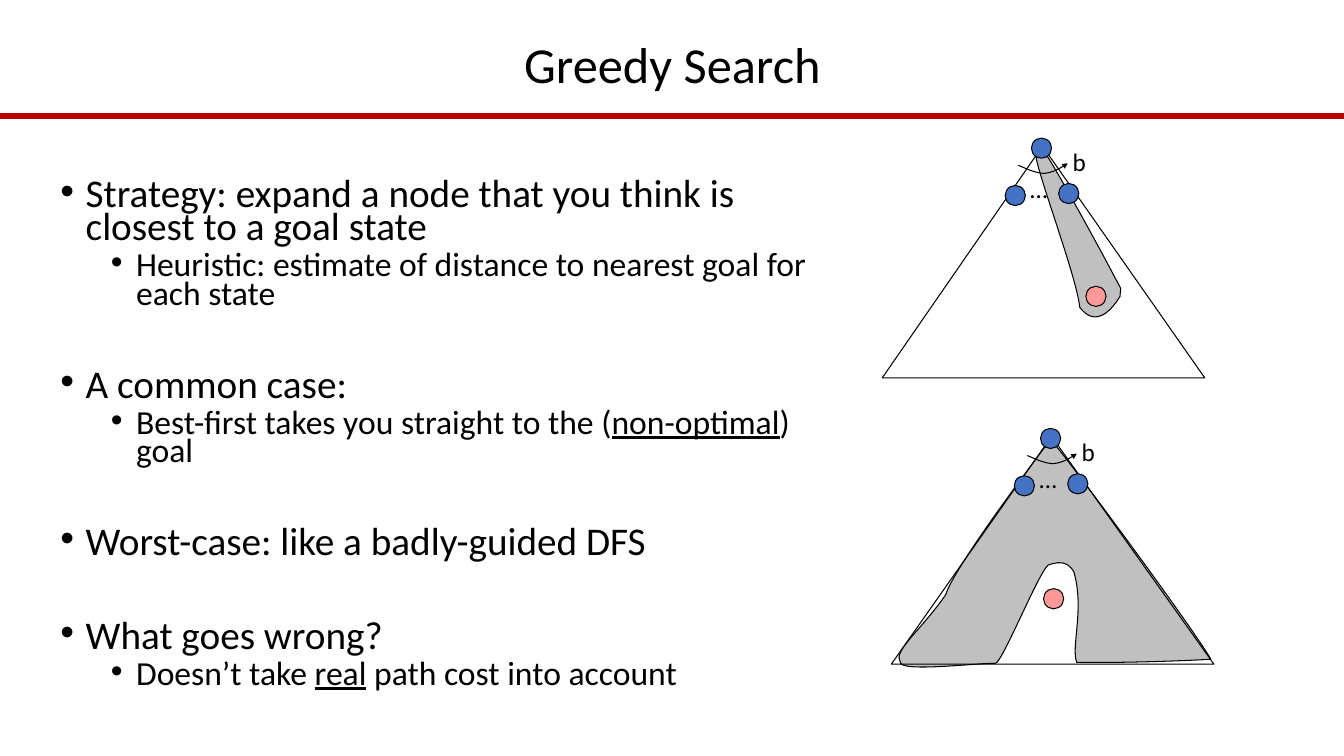
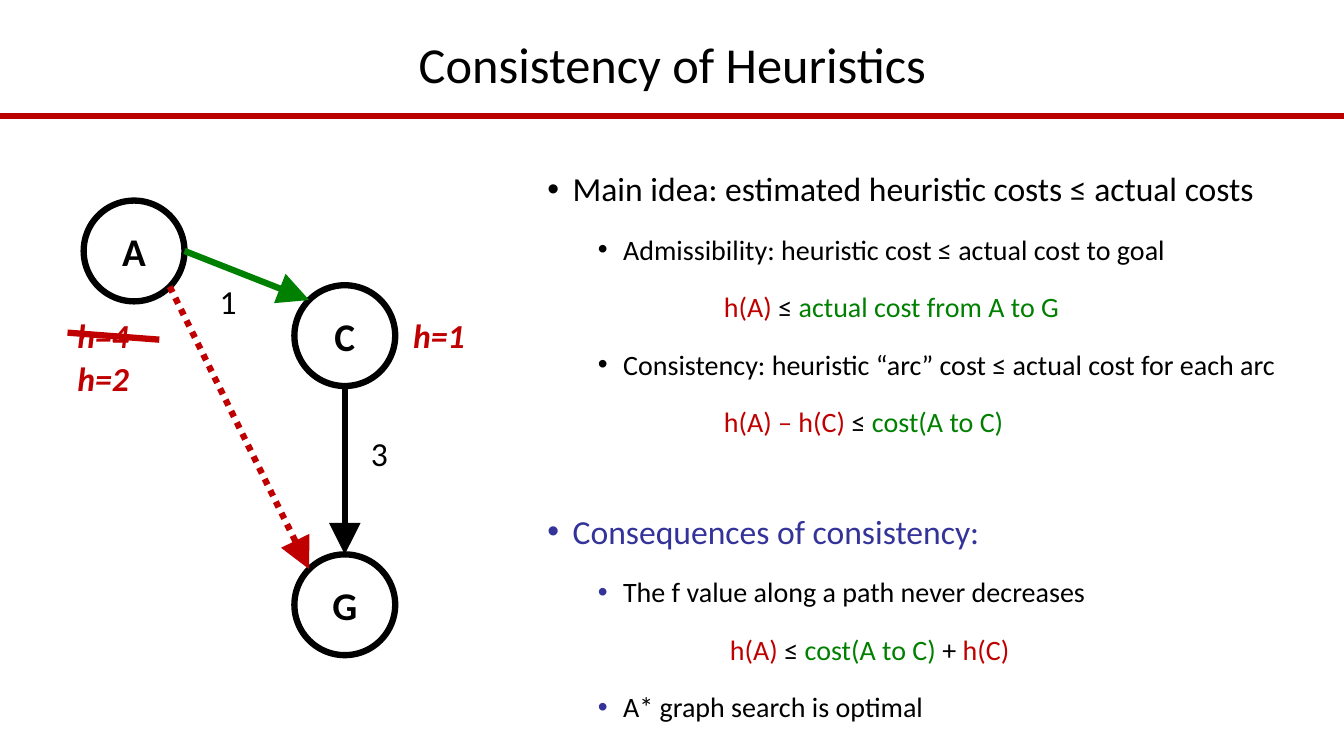
from dataclasses import dataclass
from math import cos, radians, sin
from typing import Optional

from lxml.etree import SubElement
from pptx import Presentation
from pptx.dml.color import RGBColor
from pptx.enum.dml import MSO_LINE
from pptx.enum.shapes import MSO_CONNECTOR as Connector, MSO_SHAPE as Preset
from pptx.enum.text import MSO_ANCHOR as Anchor, MSO_AUTO_SIZE as AutoSize, PP_ALIGN as Align
from pptx.oxml.ns import qn
from pptx.util import Inches, Pt

# Shared look
FONT = "Calibri"
BLACK = RGBColor(0x00, 0x00, 0x00)
WHITE = RGBColor(0xFF, 0xFF, 0xFF)
RULE_RED = RGBColor(0xBB, 0x00, 0x00)
RED = RGBColor(0xC0, 0x00, 0x00)
GREEN = RGBColor(0x00, 0x80, 0x00)
INDIGO = RGBColor(0x33, 0x33, 0x99)
NODE_BLUE = RGBColor(0x44, 0x72, 0xC4)
GOAL_PINK = RGBColor(0xFF, 0x99, 0x99)
REGION_GRAY = RGBColor(0xC0, 0xC0, 0xC0)
SLIDE_WIDTH, SLIDE_HEIGHT = 13.33, 7.5
THIN, THICK = 0.75, 4.5

Point = tuple[float, float]
Box = tuple[float, float, float, float]


@dataclass
class Run:
    text: str
    color: RGBColor = BLACK
    underline: bool = False


@dataclass
class Item:
    runs: list[Run]
    size: int
    indent: float = 0.25
    before: float = 10
    bullet: Optional[RGBColor] = BLACK


@dataclass
class SearchTree:
    left: float
    top: float
    height: float
    goal: Point
    region: list[Point]


@dataclass
class GraphNode:
    name: str
    left: float
    top: float
    diameter: float = 1.0

    def rim(self, degrees: float) -> Point:
        """Point on the circle, clockwise from the right."""
        radius, angle = self.diameter / 2, radians(degrees)
        return (self.left + radius * (1 + cos(angle)), self.top + radius * (1 + sin(angle)))


@dataclass
class Edge:
    start: Point
    end: Point
    color: RGBColor
    dash: Optional[MSO_LINE] = None
    arrow: Optional[str] = "lg"


@dataclass
class Label:
    text: str
    box: Box
    format: dict


def head(text: str, size: int, **values) -> Item:
    return Item([Run(text, values.pop("color", BLACK))], size, **values)


def sub(*runs: Run, size: int, **values) -> Item:
    return Item(list(runs), size, **{"indent": 0.75, "before": 5, **values})


def add_run(paragraph, text: str, color: RGBColor = BLACK, **values) -> None:
    run = paragraph.add_run()
    run.text = text
    run.font.color.rgb = color
    for name, value in {"name": FONT, **values}.items():
        setattr(run.font, name, value)


def place(shape, box: Box) -> None:
    for name, value in zip(("left", "top", "width", "height"), box):
        setattr(shape, name, Inches(value))


def set_line(line, color: RGBColor, width: float, arrow: Optional[str] = None, dash=None) -> None:
    line.color.rgb = color
    line.width = Pt(width)
    if dash is not None:
        line.dash_style = dash
    if arrow is not None:
        SubElement(line._get_or_add_ln(), qn("a:tailEnd"), type="triangle", w=arrow, len=arrow)


def paint(shape, fill: Optional[RGBColor], width: float = THIN, arrow: Optional[str] = None) -> None:
    shape.shadow.inherit = False
    if fill is None:
        shape.fill.background()
    else:
        shape.fill.solid()
        shape.fill.fore_color.rgb = fill
    set_line(shape.line, BLACK, width, arrow)


def add_line(slide, edge: Edge, width: float = THICK) -> None:
    ends = [Inches(value) for value in (*edge.start, *edge.end)]
    connector = slide.shapes.add_connector(Connector.STRAIGHT, *ends)
    set_line(connector.line, edge.color, width, edge.arrow, edge.dash)
    SubElement(connector._element.spPr, qn("a:effectLst"))


def add_oval(slide, box: Box, fill: RGBColor, width: float = THIN):
    shape = slide.shapes.add_shape(Preset.OVAL, *map(Inches, box))
    paint(shape, fill, width)
    return shape


def add_label(slide, label: Label) -> None:
    frame = slide.shapes.add_textbox(*map(Inches, label.box)).text_frame
    frame.word_wrap = True
    add_run(frame.paragraphs[0], label.text, **label.format)


def add_outline(slide, points: list[Point], fill: Optional[RGBColor] = None,
                closed: bool = True, curved: bool = True, arrow: Optional[str] = None) -> None:
    """Draw a freeform; when curved, each three points after the start make a cubic curve."""
    start, *others = [(Inches(x), Inches(y)) for x, y in points]
    builder = slide.shapes.build_freeform(*start)
    builder.add_line_segments(others, close=closed)
    shape = builder.convert_to_shape()
    paint(shape, fill, arrow=arrow)
    if curved:
        segments = list(shape._element.iter(qn("a:lnTo")))
        for first, second, last in zip(*[iter(segments)] * 3):
            first.tag = qn("a:cubicBezTo")
            for segment in (second, last):
                first.append(segment[0])
                segment.getparent().remove(segment)


def add_item(paragraph, item: Item, spacing: float, first: bool) -> None:
    properties = paragraph._p.get_or_add_pPr()
    hanging = 0 if item.bullet is None else -0.25
    properties.set("marL", str(Inches(item.indent)))
    properties.set("indent", str(Inches(hanging)))
    if item.bullet is None:
        SubElement(properties, qn("a:buNone"))
    else:
        color = SubElement(properties, qn("a:buClr"))
        SubElement(color, qn("a:srgbClr"), val=str(item.bullet))
        SubElement(properties, qn("a:buFont"), typeface="Arial")
        SubElement(properties, qn("a:buChar"), char="•")
    paragraph.level = 0 if item.indent < 0.5 else 1
    paragraph.line_spacing = spacing
    paragraph.space_before = Pt(0 if first else item.before)
    paragraph.space_after = Pt(0)
    for run in item.runs:
        add_run(paragraph, run.text, run.color, size=Pt(item.size), underline=run.underline)


def add_slide(presentation, title: str, body_box: Box, items: list[Item], spacing: float):
    """Slide with a centred title, a red rule and a bulleted body."""
    slide = presentation.slides.add_slide(presentation.slide_layouts[1])
    heading, body = slide.placeholders
    for shape, box in ((heading, (0.92, 0.34, 11.5, 0.66)), (body, body_box)):
        place(shape, box)
        shape.text_frame.word_wrap = True
        shape.text_frame.auto_size = AutoSize.NONE
    heading.text_frame.vertical_anchor = Anchor.MIDDLE
    paragraph = heading.text_frame.paragraphs[0]
    paragraph.alignment = Align.CENTER
    paragraph.line_spacing = 0.9
    add_run(paragraph, title, size=Pt(36))
    add_line(slide, Edge((0, 1.15), (SLIDE_WIDTH, 1.15), RULE_RED, arrow=None), 4)
    for index, item in enumerate(items):
        paragraph = body.text_frame.add_paragraph() if index else body.text_frame.paragraphs[0]
        add_item(paragraph, item, spacing, first=index == 0)
    return slide


def add_search_tree(slide, tree: SearchTree) -> None:
    """Triangle of states with the explored region; parts are offset from its corner."""
    def at(x: float, y: float) -> Point:
        return tree.left + x, tree.top + y

    def add_dot(corner: Point, fill: RGBColor) -> None:
        add_oval(slide, (*corner, 0.2, 0.2), fill)

    add_outline(slide, tree.region, REGION_GRAY)
    add_outline(slide, [at(0, tree.height), at(3.2, tree.height), at(1.59, 0)], curved=False)
    for x, y in ((1.22, 0.39), (1.75, 0.37)):
        add_dot(at(x, y), NODE_BLUE)
    for text, x, y in (("…", 1.37, 0.22), ("b", 1.79, -0.05)):
        add_label(slide, Label(text, (*at(x, y), 0.4, 0.4), {"size": Pt(18)}))
    # Branching arrow
    branching = ((1.35, 0.19), (1.44, 0.23), (1.53, 0.27), (1.61, 0.27),
                 (1.69, 0.26), (1.77, 0.22), (1.84, 0.17))
    add_outline(slide, [at(*point) for point in branching], closed=False, arrow="sm")
    add_dot(tree.goal, GOAL_PINK)
    add_dot(at(1.48, -0.08), NODE_BLUE)


def build_greedy_search(presentation) -> None:
    group_gap = 43.5
    items = [
        head("Strategy: expand a node that you think is closest to a goal state", 28),
        sub(Run("Heuristic: estimate of distance to nearest goal for each state"), size=24),
        head("A common case:", 28, before=group_gap),
        sub(Run("Best-first takes you straight to the ("), Run("non-optimal", underline=True),
            Run(") goal"), size=24),
        head("Worst-case: like a badly-guided DFS", 28, before=group_gap),
        head("What goes wrong?", 28, before=group_gap),
        sub(Run("Doesn’t take "), Run("real", underline=True),
            Run(" path cost into account"), size=24),
    ]
    slide = add_slide(presentation, "Greedy Search", (0.5, 1.75, 7.75, 5.33), items, 0.7)
    trees = [
        SearchTree(8.75, 1.45, 2.3, (10.77, 2.84), [
            (10.4, 1.57),
            (10.52, 1.76), (10.91, 2.47), (11.03, 2.7),
            (11.15, 2.93), (11.11, 2.82), (11.11, 2.94),
            (11.04, 3.05), (10.88, 3.27), (10.71, 3.05),
            (10.68, 2.76), (10.33, 1.83), (10.28, 1.58),
            (10.22, 1.33), (10.28, 1.38), (10.4, 1.57),
        ]),
        SearchTree(8.84, 4.33, 2.26, (10.35, 5.84), [
            (10.48, 4.43),
            (10.76, 4.78), (11.83, 6.23), (12.01, 6.54),
            (11.87, 6.55), (11.16, 6.58), (10.68, 6.57),
            (10.62, 6.42), (10.76, 6.04), (10.65, 5.67),
            (10.6, 5.59), (10.54, 5.56), (10.41, 5.6),
            (10.34, 5.58), (9.93, 6.61), (9.87, 6.58),
            (9.66, 6.58), (8.93, 6.67), (8.93, 6.57),
            (8.85, 6.46), (9.14, 6.25), (9.38, 5.9),
            (9.46, 5.64), (10.18, 4.68), (10.36, 4.44),
            (10.54, 4.19), (10.46, 4.43), (10.48, 4.43),
        ]),
    ]
    for tree in trees:
        add_search_tree(slide, tree)


def build_consistency(presentation) -> None:
    formula = {"size": 20, "indent": 1.75, "bullet": None}
    items = [
        head("Main idea: estimated heuristic costs ≤ actual costs", 24),
        sub(Run("Admissibility: heuristic cost ≤ actual cost to goal"), size=20),
        sub(Run("h(A) ", RED), Run("≤ "), Run("actual cost from A to G", GREEN), **formula),
        sub(Run("Consistency: heuristic “arc” cost ≤ actual cost for each arc"), size=20),
        sub(Run("h(A) – h(C) ", RED), Run("≤ "), Run("cost(A to C)", GREEN), **formula),
        head("Consequences of consistency:", 24, color=INDIGO, bullet=INDIGO, before=37.5),
        sub(Run("The f value along a path never decreases"), size=20, bullet=INDIGO),
        sub(Run("h(A) ", RED), Run("≤ "), Run("cost(A to C) ", GREEN), Run("+ "),
            Run("h(C)", RED), **{**formula, "indent": 1.81}),
        sub(Run("A* graph search is optimal"), size=20, bullet=INDIGO),
    ]
    slide = add_slide(presentation, "Consistency of Heuristics", (5.33, 1.42, 7.77, 5.86),
                      items, 1.5)

    # Graph nodes
    node_a, node_c, node_g = nodes = (
        GraphNode("A", 0.83, 1.99), GraphNode("C", 2.92, 2.83), GraphNode("G", 2.92, 5.5))
    for node in nodes:
        box = (node.left, node.top, node.diameter, node.diameter)
        frame = add_oval(slide, box, WHITE, THICK).text_frame
        frame.vertical_anchor = Anchor.MIDDLE
        frame.paragraphs[0].alignment = Align.CENTER
        add_run(frame.paragraphs[0], node.name, size=Pt(28), bold=True)

    # Step costs and heuristic values
    cost = {"size": Pt(24)}
    heuristic = {"size": Pt(24), "color": RED, "bold": True, "italic": True}
    for label in (
        Label("1", (2.08, 2.74, 0.37, 0.5), cost),
        Label("3", (3.58, 4.25, 0.37, 0.5), cost),
        Label("h=4", (0.67, 3.08, 0.8, 0.5), heuristic),
        Label("h=2", (0.67, 3.5, 0.8, 0.5), heuristic),
        Label("h=1", (4, 3.08, 0.8, 0.5), heuristic),
    ):
        add_label(slide, label)

    # Arcs, and the stroke through the old value
    for edge in (
        Edge(node_c.rim(90), node_g.rim(270), BLACK),
        Edge(node_a.rim(45), node_g.rim(225), RED, MSO_LINE.ROUND_DOT),
        Edge(node_a.rim(0), node_c.rim(225), GREEN),
        Edge((0.67, 3.3), (1.58, 3.37), RED, arrow=None),
    ):
        add_line(slide, edge)


def main() -> None:
    presentation = Presentation()
    presentation.slide_width = Inches(SLIDE_WIDTH)
    presentation.slide_height = Inches(SLIDE_HEIGHT)
    build_greedy_search(presentation)
    build_consistency(presentation)
    presentation.save("out.pptx")


if __name__ == "__main__":
    main()
